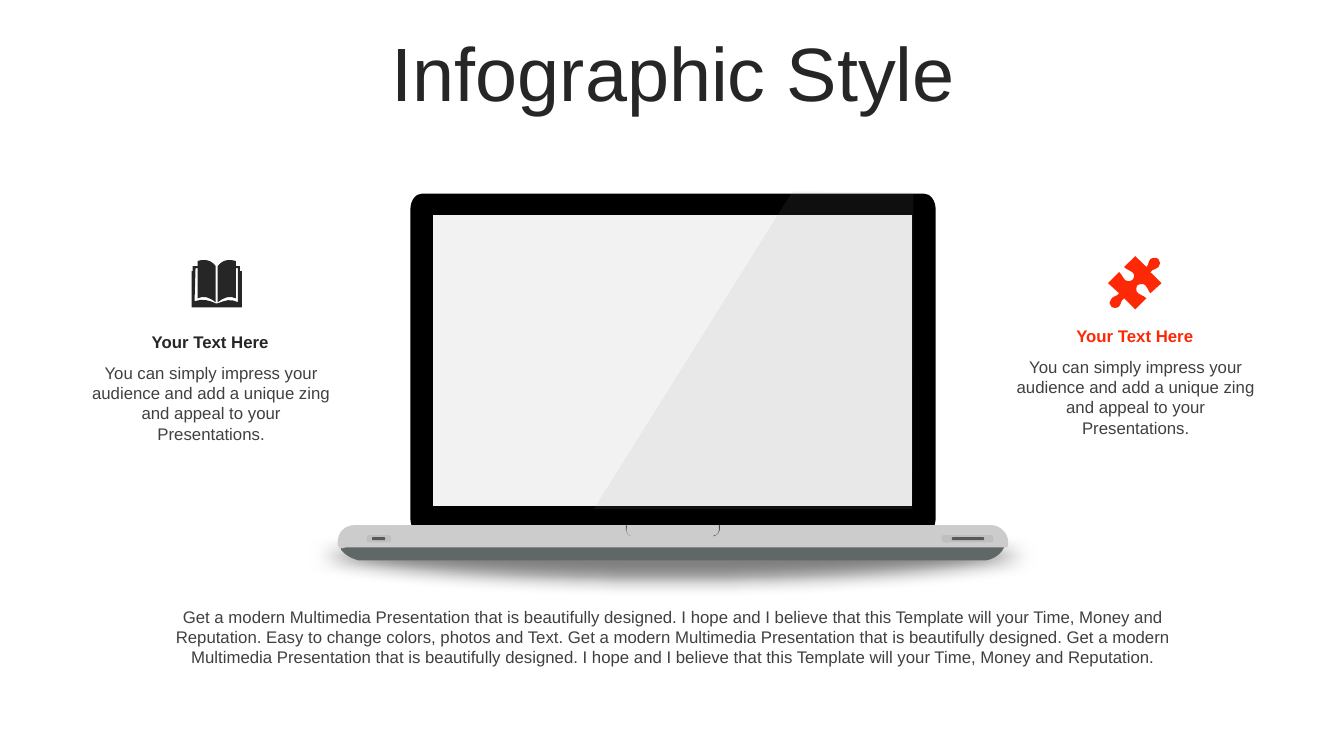
"""Build a one-slide infographic with a laptop between two captioned icons."""
from typing import NamedTuple

from lxml import etree
from pptx import Presentation
from pptx import util as u
from pptx.dml.color import RGBColor
from pptx.enum import shapes, text
from pptx.oxml.ns import qn

COLUMNS, ROWS = 1333, 750
WIDTH, HEIGHT = u.Inches(13.33), u.Inches(7.5)
COLUMN, ROW = WIDTH / COLUMNS, HEIGHT / ROWS

COLORS = {
    "shadow": "808080", "foot": "5F6767", "lid": "000000", "screen": "F2F2F2",
    "base": "CCCCCC", "notch": "4D4D4D", "port": "BFBFBF", "slot": "595959",
    "gloss": "999999", "dark": "262626", "body": "404040", "accent": "FD2906",
}


class Box(NamedTuple):
    """Grid columns and rows taken by one element."""
    left: float
    top: float
    width: float
    height: float


class Outline(NamedTuple):
    """A filled outline whose grid points follow M, L and C commands."""
    color: str
    commands: str
    opacity: int = 100


class Pill(NamedTuple):
    """A small rounded bar on the laptop base."""
    color: str
    box: Box


class Caption(NamedTuple):
    """A heading over a paragraph beside the laptop."""
    left: float
    top: float
    color: str


LAPTOP_BODY = (
    Outline("foot", "M 977,556 C 977,556 990,555 996,543 C 996,540 993,537 990,537 "
            "L 353,539 L 345,539 C 342,539 338,542 338,545 C 343,552 352,555 356,556"),
    Outline("lid", "M 928,514 C 928,523 923,530 916,530 L 419,530 C 412,530 407,523 407,514 "
            "L 407,208 C 407,199 412,192 419,192 L 916,192 C 923,192 928,199 928,208"),
    Outline("screen", "M 429,213 L 905,213 L 905,502 L 429,502"),
    Outline("base", "M 352,521 L 983,521 C 992,521 1000,529 1000,538 L 1000,541 "
            "C 1000,541 1001,544 994,543 L 343,543 C 342,543 342,543 340,544 "
            "C 338,544 335,544 335,541 L 335,538 C 335,528 342,521 352,521"),
    Outline("notch", "M 713,521 L 714,521 C 715,530 710,531 708,532 L 707,532 L 709,531 "
            "C 711,531 714,529 713,522 M 621,521 L 622,522 C 622,522 619,530 626,532 "
            "C 619,530 621,521 621,521"),
)
PORTS = (
    Pill("port", Box(364, 531, 24, 7)), Pill("slot", Box(369, 533, 13, 3)),
    Pill("port", Box(934, 531, 51, 7)), Pill("slot", Box(944, 533, 32, 3)),
)
GLOSS = Outline("gloss", "M 786,190 L 906,191 C 906,295 906,401 905,505 L 589,505", 10)
ICONS = (
    Outline("accent", "M 1149,257 C 1151,259 1151,262 1149,265 C 1147,268 1144,266 1141,270 "
            "L 1152,281 L 1141,291 C 1138,288 1139,285 1136,283 C 1134,281 1130,282 1128,283 "
            "C 1127,285 1126,289 1129,291 C 1132,294 1133,292 1137,296 L 1126,307 L 1115,296 "
            "C 1111,299 1113,300 1110,304 C 1108,306 1104,306 1102,304 "
            "C 1100,302 1100,299 1102,297 C 1104,293 1107,295 1110,291 L 1099,281 L 1110,270 "
            "C 1114,273 1113,276 1116,278 C 1118,280 1121,279 1123,278 "
            "C 1125,276 1126,272 1123,270 C 1120,267 1119,269 1115,265 L 1126,254 L 1137,265 "
            "C 1140,262 1138,261 1141,257 C 1144,255 1148,256 1149,257"),
    Outline("dark", "M 214,301 L 216,301 C 224,298 228,296 236,300 L 236,266 L 234,266 "
            "L 234,296 C 228,293 222,295 216,300 L 216,264 C 219,260 223,258 227,258 "
            "C 229,258 231,258 234,259 L 234,264 L 238,264 L 238,269 L 240,269 L 240,305 "
            "L 190,305 L 190,269 L 191,269 L 191,264 L 196,264 L 196,259 "
            "C 198,258 201,258 203,258 C 207,258 211,260 214,264 L 214,300 "
            "C 208,295 202,293 196,296 L 196,266 L 194,266 L 193,299 C 202,296 207,298 214,301"),
)
CAPTIONS = (Caption(78, 324, "dark"), Caption(995, 318, "accent"))
HEADING = "Your Text Here"
PITCH = "You can simply impress your audience and add a unique zing and appeal to your Presentations."
MODERN = "Get a modern Multimedia Presentation that is beautifully designed."
HOPE = "I hope and I believe that this Template will your Time, Money and Reputation."
SUMMARY = f"{MODERN} {HOPE} Easy to change colors, photos and Text. {MODERN} {MODERN} {HOPE}"


def place(box: Box) -> tuple[int, ...]:
    """Turn grid cells into slide lengths."""
    return tuple(round(cells * unit) for cells, unit in zip(box, (COLUMN, ROW) * 2))


def paint(shape, color: str, opacity: int = 100) -> None:
    """Give a shape a flat fill with no line or shadow."""
    shape.shadow.inherit = False
    shape.fill.solid()
    shape.fill.fore_color.rgb = RGBColor.from_string(COLORS[color])
    shape.line.fill.background()
    if opacity < 100:
        tint = next(shape.element.spPr.iter(qn("a:srgbClr")))
        etree.SubElement(tint, qn("a:alpha")).set("val", str(opacity * 1000))


def read_points(contour: str) -> list[tuple[float, float]]:
    """List the slide points of one contour."""
    pairs = [token.split(",") for token in contour.split() if "," in token]
    return [(int(column) * COLUMN, int(row) * ROW) for column, row in pairs]


def bend(shape, commands: str) -> None:
    """Join three line points into one Bézier segment at each C command."""
    outline_path = next(shape.element.spPr.iter(qn("a:path")))
    lines = iter(outline_path.findall(qn("a:lnTo")))
    for command in commands.split():
        if command == "L":
            next(lines)
        elif command == "C":
            segment = [next(lines) for _ in range(3)]
            curve = etree.SubElement(outline_path, qn("a:cubicBezTo"))
            segment[0].addprevious(curve)
            for line in segment:
                curve.append(line[0])
                outline_path.remove(line)


def draw_outline(slide, outline: Outline) -> None:
    """Draw one outline as a freeform."""
    contours = [read_points(contour) for contour in outline.commands.split("M")[1:]]
    builder = slide.shapes.build_freeform(*contours[0][0])
    for index, (start, *rest) in enumerate(contours):
        if index:
            builder.move_to(*start)
        builder.add_line_segments(rest, close=True)
    shape = builder.convert_to_shape()
    bend(shape, outline.commands)
    paint(shape, outline.color, outline.opacity)


def draw_shadow(slide) -> None:
    """Draw the soft shadow under the laptop."""
    shadow = slide.shapes.add_shape(shapes.MSO_SHAPE.OVAL, *place(Box(265, 511, 804, 81)))
    paint(shadow, "shadow")
    effects = shadow.element.spPr.find(qn("a:effectLst"))
    etree.SubElement(effects, qn("a:softEdge")).set("rad", str(u.Inches(0.18)))


def draw_pill(slide, pill: Pill) -> None:
    """Draw one rounded bar."""
    bar = slide.shapes.add_shape(shapes.MSO_SHAPE.ROUNDED_RECTANGLE, *place(pill.box))
    bar.adjustments[0] = 0.28
    paint(bar, pill.color)


def write(slide, words: str, box: Box, *, size: int = 12, color: str = "body",
          bold: bool = False, spacing: float = 1.0, middle: bool = False) -> None:
    """Write a centred paragraph in a wrapping text box."""
    frame = slide.shapes.add_textbox(*place(box)).text_frame
    frame.word_wrap = True
    frame.vertical_anchor = text.MSO_ANCHOR.MIDDLE if middle else text.MSO_ANCHOR.TOP
    paragraph = frame.paragraphs[0]
    paragraph.alignment = text.PP_ALIGN.CENTER
    paragraph.line_spacing = spacing
    run = paragraph.add_run()
    run.text = words
    run.font.name, run.font.size, run.font.bold = "Arial", u.Pt(size), bold
    run.font.color.rgb = RGBColor.from_string(COLORS[color])


def main() -> None:
    """Assemble and save the slide."""
    deck = Presentation()
    deck.slide_width, deck.slide_height = WIDTH, HEIGHT
    slide = deck.slides.add_slide(deck.slide_layouts[6])
    draw_shadow(slide)
    for part in LAPTOP_BODY:
        draw_outline(slide, part)
    for port in PORTS:
        draw_pill(slide, port)
    draw_outline(slide, GLOSS)
    write(slide, "Infographic Style", Box(35, 37, 1266, 79), size=54, color="dark",
          spacing=0.9, middle=True)
    for caption in CAPTIONS:
        write(slide, PITCH, Box(caption.left, caption.top + 31, 263, 91))
        write(slide, HEADING, Box(caption.left, caption.top, 261, 30),
              color=caption.color, bold=True)
    write(slide, SUMMARY, Box(155, 597, 1026, 71))
    for icon in ICONS:
        draw_outline(slide, icon)
    deck.save("out.pptx")


if __name__ == "__main__":
    main()
